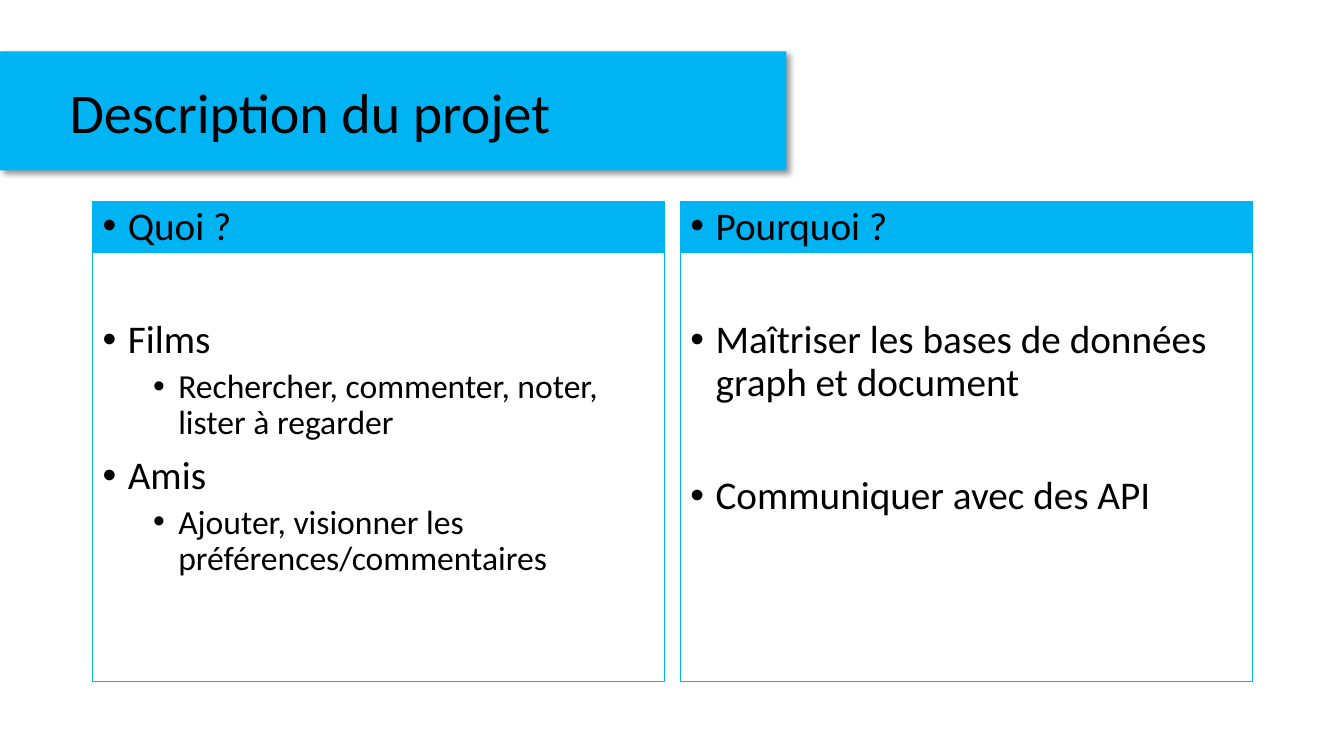
from lxml.etree import SubElement
from pptx import Presentation
from pptx.dml.color import RGBColor
from pptx.enum.shapes import MSO_SHAPE
from pptx.enum.text import MSO_ANCHOR, PP_ALIGN
from pptx.oxml.ns import qn
from pptx.util import Inches, Pt

SLIDE_WIDTH, SLIDE_HEIGHT = 13.33, 7.5
BLUE, BLACK = "00B3F2", "000000"
FONT = "Calibri"
PANEL_LEFT, PANEL_TOP = 0.92, 2
PANEL_WIDTH, PANEL_HEIGHT = 5.67, 4.76
HEADER_HEIGHT = 0.5
PANEL_PITCH = 5.83
LEVELS = [(28, 0.25, 10), (24, 0.75, 5)]
SECTION_GAP = 50.8

PANELS = [
    [
        ("Quoi ?", 0, False),
        ("Films", 0, True),
        ("Rechercher, commenter, noter, lister à regarder", 1, False),
        ("Amis", 0, False),
        ("Ajouter, visionner les préférences/commentaires", 1, False),
    ],
    [
        ("Pourquoi ?", 0, False),
        ("Maîtriser les bases de données graph et document", 0, True),
        ("Communiquer avec des API", 0, True),
    ],
]


def color(value):
    return RGBColor.from_string(value)


def add_box(slide, left, top, width, height, fill=None, line_width=None):
    shape = slide.shapes.add_shape(
        MSO_SHAPE.RECTANGLE, Inches(left), Inches(top), Inches(width), Inches(height)
    )
    shape.shadow.inherit = False
    if fill:
        shape.fill.solid()
        shape.fill.fore_color.rgb = color(fill)
    else:
        shape.fill.background()
    if line_width:
        shape.line.color.rgb = color(BLUE)
        shape.line.width = Pt(line_width)
    else:
        shape.line.fill.background()
    return shape


def add_text(paragraph, text, size):
    paragraph.alignment = PP_ALIGN.LEFT
    run = paragraph.add_run()
    run.text = text
    run.font.name = FONT
    run.font.size = Pt(size)
    run.font.color.rgb = color(BLACK)


def add_bullet(paragraph, text, level, starts_section):
    size, indent, space = LEVELS[level]
    paragraph.level = level
    paragraph.line_spacing = 0.9
    paragraph.space_before = Pt(SECTION_GAP if starts_section else space)
    add_text(paragraph, text, size)
    properties = paragraph._p.get_or_add_pPr()
    properties.set("marL", str(Inches(indent)))
    properties.set("indent", str(Inches(-0.25)))
    SubElement(properties, qn("a:buFont"), typeface="Arial")
    SubElement(properties, qn("a:buChar"), char="•")


def add_panel(slide, column, items):
    left = PANEL_LEFT + column * PANEL_PITCH
    add_box(slide, left, PANEL_TOP, PANEL_WIDTH, HEADER_HEIGHT, BLUE, 1)
    body = add_box(slide, left, PANEL_TOP, PANEL_WIDTH, PANEL_HEIGHT, line_width=0.75)
    frame = body.text_frame
    frame.word_wrap = True
    frame.vertical_anchor = MSO_ANCHOR.TOP
    for index, item in enumerate(items):
        paragraph = frame.add_paragraph() if index else frame.paragraphs[0]
        add_bullet(paragraph, *item)


def add_shadow(shape):
    effects = shape._element.spPr.find(qn("a:effectLst"))
    shadow = SubElement(
        effects, qn("a:outerShdw"), blurRad=str(Pt(4)), dist=str(Pt(3)),
        dir=str(45 * 60000), algn="tl", rotWithShape="0",
    )
    shade = SubElement(shadow, qn("a:srgbClr"), val=BLACK)
    SubElement(shade, qn("a:alpha"), val="40000")


def add_title(slide, text):
    banner = add_box(slide, 0, 0.51, 7.8, 1.18, BLUE)
    add_shadow(banner)
    frame = banner.text_frame
    frame.word_wrap = True
    frame.margin_left = Inches(0.69)
    frame.vertical_anchor = MSO_ANCHOR.MIDDLE
    add_text(frame.paragraphs[0], text, 40)


def main():
    presentation = Presentation()
    presentation.slide_width = Inches(SLIDE_WIDTH)
    presentation.slide_height = Inches(SLIDE_HEIGHT)
    slide = presentation.slides.add_slide(presentation.slide_layouts[6])
    for column, items in enumerate(PANELS):
        add_panel(slide, column, items)
    add_title(slide, "Description du projet")
    presentation.save("out.pptx")


if __name__ == "__main__":
    main()
